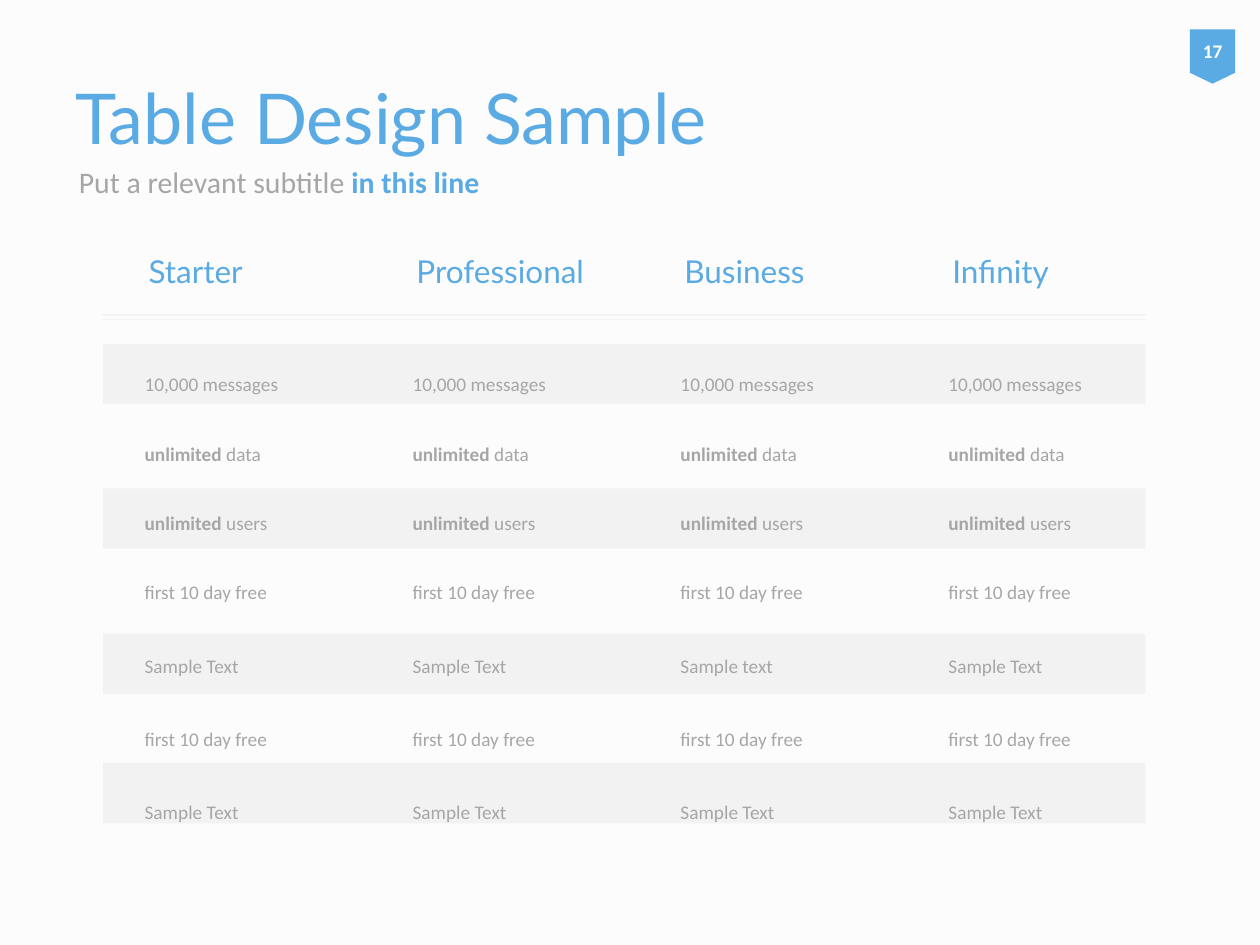
from lxml import etree
from pptx import Presentation
from pptx.dml.color import RGBColor
from pptx.enum import shapes, text
from pptx.oxml.ns import qn
from pptx.util import Pt

BLUE = RGBColor(0x5A, 0xAA, 0xE4)
GRAY = RGBColor(0xA6, 0xA6, 0xA6)
PALE = RGBColor(0xF2, 0xF2, 0xF2)
WHITE = RGBColor(0xFF, 0xFF, 0xFF)
PAPER = RGBColor(0xFC, 0xFC, 0xFC)

LEFT, WIDTH = 59, 595.5
BAND = 34.5
STEP = 153.1

PLANS = [
    ("Starter", "Sample Text"),
    ("Professional", "Sample Text"),
    ("Business", "Sample text"),
    ("Infinity", "Sample Text"),
]
LIMITS = [
    [("10,000 messages ", False)],
    [("unlimited", True), (" data ", False)],
    [("unlimited", True), (" users ", False)],
    [("first 10 day free", False)],
]


class Page:
    def __init__(self, deck):
        self.slide = deck.slides.add_slide(deck.slide_layouts[5])
        self.shapes = self.slide.shapes
        fill = self.slide.background.fill
        fill.solid()
        fill.fore_color.rgb = PAPER

    def style(self, para, size, color, face="Calibri", bold=None):
        font = para.font
        font.size, font.name, font.bold = Pt(size), face, bold
        font.color.rgb = color

    def title(self, words, x, y, w, h):
        box = self.shapes.title
        box.left, box.top, box.width, box.height = Pt(x), Pt(y), Pt(w), Pt(h)
        frame = box.text_frame
        frame.text = words
        frame.vertical_anchor = text.MSO_ANCHOR.MIDDLE
        para = frame.paragraphs[0]
        para.alignment = text.PP_ALIGN.LEFT
        self.style(para, 40, BLUE, "Lato")

    def box(self, x, y, w, h, anchor=text.MSO_ANCHOR.MIDDLE):
        frame = self.shapes.add_textbox(Pt(x), Pt(y), Pt(w), Pt(h)).text_frame
        frame.word_wrap = True
        frame.vertical_anchor = anchor
        return frame

    def label(self, words, x, y, w, h, size, color, face):
        para = self.box(x, y, w, h).paragraphs[0]
        para.add_run().text = words
        self.style(para, size, color, face)
        return para

    def shape(self, kind, x, y, w, h, color):
        item = self.shapes.add_shape(kind, Pt(x), Pt(y), Pt(w), Pt(h))
        item.shadow.inherit = False
        item.fill.solid()
        item.fill.fore_color.rgb = color
        item.line.fill.background()
        return item

    def rule(self, x, y, w):
        line = self.shapes.add_connector(
            shapes.MSO_CONNECTOR.STRAIGHT, Pt(x), Pt(y), Pt(x + w), Pt(y))
        line.line.color.rgb = PALE
        line.line.width = Pt(0.75)
        props = line._element.find(qn("p:spPr"))
        etree.SubElement(props, qn("a:effectLst"))

    def badge(self, words, x, y, w, h):
        kind = shapes.MSO_SHAPE.FLOWCHART_OFFPAGE_CONNECTOR
        frame = self.shape(kind, x, y, w, h, BLUE).text_frame
        frame.margin_left = frame.margin_right = 0
        frame.vertical_anchor = text.MSO_ANCHOR.MIDDLE
        frame.text = words
        para = frame.paragraphs[0]
        para.alignment = text.PP_ALIGN.CENTER
        self.style(para, 11, WHITE, bold=True)

    def plan(self, name, sample, x):
        frame = self.box(x, 183, 116, 295, text.MSO_ANCHOR.TOP)
        first = frame.paragraphs[0]
        for i, line in enumerate(LIMITS):
            if i:
                first.add_line_break()
            for words, bold in line:
                run = first.add_run()
                run.text = words
                if bold:
                    run.font.bold = True
        for words in (sample, "first 10 day free", "Sample Text"):
            para = frame.add_paragraph()
            para.add_run().text = words
            para.space_before = Pt(2.2)
        for para in frame.paragraphs:
            para.line_spacing = 3.0
            self.style(para, 11, GRAY)
        self.label(name, x + 2.2, 140, 112, 29, 18, BLUE, "Lato")


def main():
    deck = Presentation()
    deck.slide_width, deck.slide_height = Pt(720), Pt(540)
    page = Page(deck)
    page.title("Table Design Sample", 36, 21.6, 648, 90)
    para = page.label("Put a relevant subtitle ", 38, 85, 648, 38, 17, GRAY, "Calibri")
    run = para.add_run()
    run.text = "in this line"
    run.font.bold = True
    run.font.color.rgb = BLUE
    for y in (196.5, 279, 362, 436):
        page.shape(shapes.MSO_SHAPE.RECTANGLE, LEFT, y, WIDTH, BAND, PALE)
    for y in (180, 182.7):
        page.rule(LEFT, y, WIDTH)
    page.badge("17", 680, 16.8, 25.8, 31)
    for i, (name, sample) in enumerate(PLANS):
        page.plan(name, sample, 75.6 + i * STEP)
    deck.save("out.pptx")


if __name__ == "__main__":
    main()
